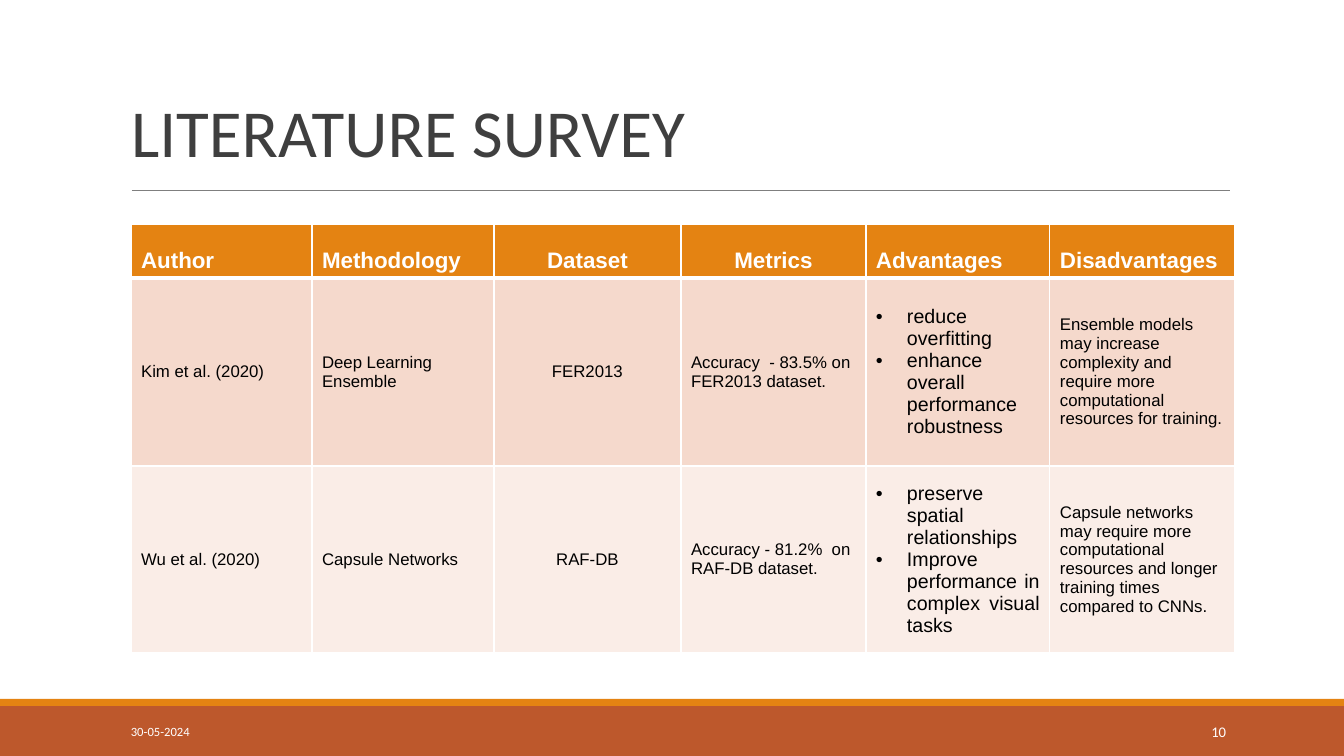
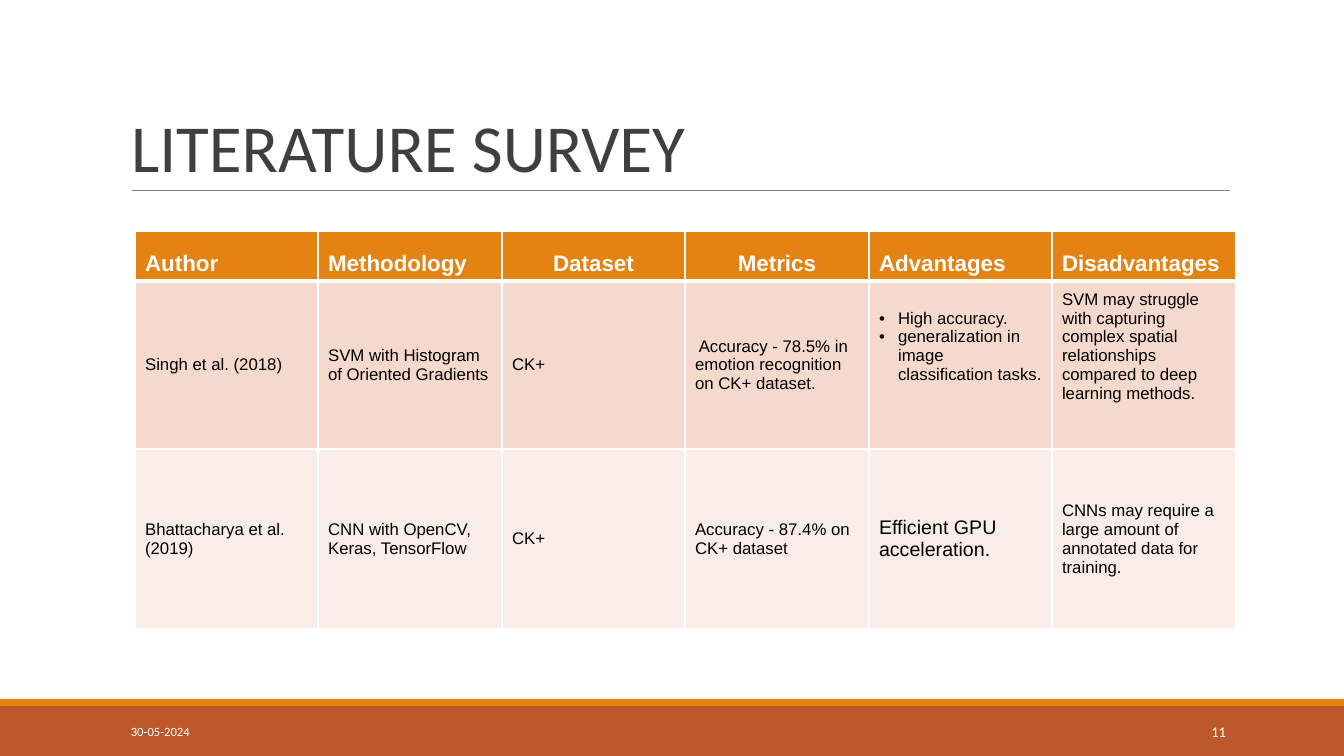
from dataclasses import dataclass
from typing import Any

from lxml.etree import SubElement
from pptx import Presentation
from pptx.dml.color import RGBColor
from pptx.enum.shapes import MSO_CONNECTOR as Connector, MSO_SHAPE as Preset
from pptx.enum.text import MSO_ANCHOR as Anchor, MSO_AUTO_SIZE as AutoSize, PP_ALIGN as Align
from pptx.oxml.ns import qn
from pptx.util import Emu, Pt

COLOURS = {
    "band": "BD582C",
    "accent": "E48312",
    "rule": "7F7F7F",
    "title": "3F3F3F",
    "white": "FFFFFF",
    "black": "000000",
    "odd_row": "F5D9CC",
    "even_row": "FAEDE7",
}
SLIDE_SIZE = (1344, 756)
TITLE = "LITERATURE SURVEY"
DATE = "30-05-2024"
TITLE_FORMAT = {"name": "Calibri", "size": Pt(48), "bold": False}
DATE_FORMAT = {"name": "Calibri", "size": Pt(9)}
NUMBER_FORMAT = {"name": "Calibri", "size": Pt(10.5)}
HEADER_FORMAT = {"name": "Arial", "size": Pt(16), "bold": True}
HEADINGS = ("Author", "Methodology", "Dataset", "Metrics", "Advantages", "Disadvantages")


@dataclass(frozen=True)
class Box:
    left: int
    top: int
    width: int
    height: int


@dataclass(frozen=True)
class Band:
    box: Box
    colour: str


@dataclass(frozen=True)
class Entry:
    """Content of a table cell; a positive indent makes its paragraphs bullets."""
    paragraphs: tuple[str, ...]
    size: int = 12
    align: Any = Align.LEFT
    indent: int = 0
    bottom_padding: int = 5


@dataclass(frozen=True)
class Survey:
    number: int
    title_top: int
    left: int
    top: int
    columns: tuple[int, ...]
    rows: tuple[int, ...]
    studies: tuple[tuple[Entry, ...], ...]


BANDS = (
    Band(Box(0, 706, 1344, 50), "band"),
    Band(Box(0, 699, 1344, 7), "accent"),
)

SURVEYS = (
    Survey(
        number=10, title_top=16, left=131, top=224,
        columns=(181, 182, 187, 185, 184, 185), rows=(54, 188, 187),
        studies=(
            (
                Entry(("Kim et al. (2020)",)),
                Entry(("Deep Learning Ensemble",)),
                Entry(("FER2013",), align=Align.CENTER),
                Entry(("Accuracy  - 83.5% on FER2013 dataset.",)),
                Entry(("reduce overfitting", "enhance overall performance robustness"),
                      size=14, indent=31),
                Entry(("Ensemble models may increase complexity and require more "
                       "computational resources for training.",)),
            ),
            (
                Entry(("Wu et al. (2020)",)),
                Entry(("Capsule Networks",)),
                Entry(("RAF-DB",), align=Align.CENTER),
                Entry(("Accuracy - 81.2%  on RAF-DB dataset.",)),
                Entry(("preserve spatial relationships",
                       "Improve performance in complex visual tasks"),
                      size=14, align=Align.JUSTIFY, indent=31),
                Entry(("Capsule networks may require more computational resources and "
                       "longer training times compared to CNNs.",)),
            ),
        ),
    ),
    Survey(
        number=11, title_top=31, left=135, top=231,
        columns=(183, 184) * 3, rows=(50, 167, 180),
        studies=(
            (
                Entry(("Singh et al. (2018)",)),
                Entry(("SVM with Histogram of Oriented Gradients",)),
                Entry(("CK+",)),
                Entry((" Accuracy - 78.5% in emotion recognition on CK+ dataset.",)),
                Entry(("High accuracy.", "generalization in image classification tasks."),
                      indent=19, bottom_padding=42),
                Entry(("SVM may struggle with capturing complex spatial relationships "
                       "compared to deep learning methods.",), bottom_padding=42),
            ),
            (
                Entry(("Bhattacharya et al. (2019)",)),
                Entry(("CNN with OpenCV, Keras, TensorFlow",)),
                Entry(("CK+",)),
                Entry(("Accuracy - 87.4% on CK+ dataset",)),
                Entry(("Efficient GPU acceleration.",), size=14),
                Entry(("CNNs may require a large amount of annotated data for training.",)),
            ),
        ),
    ),
)


def px(length: int) -> Emu:
    return Emu(round(length * 914400 / 100.8))


def place(box: Box) -> tuple[Emu, ...]:
    return px(box.left), px(box.top), px(box.width), px(box.height)


def rgb(name: str) -> RGBColor:
    return RGBColor.from_string(COLOURS[name])


def write(paragraph: Any, text: str, values: dict[str, Any], colour: str,
          align: Any = Align.LEFT) -> None:
    paragraph.alignment = align
    run = paragraph.add_run()
    run.text = text
    for name, value in values.items():
        setattr(run.font, name, value)
    run.font.color.rgb = rgb(colour)


def add_bullet(paragraph: Any, indent: int) -> None:
    properties = paragraph._p.get_or_add_pPr()
    properties.set("marL", str(px(indent)))
    properties.set("indent", str(-px(indent)))
    colour = SubElement(properties, qn("a:buClr"))
    SubElement(colour, qn("a:srgbClr"), val=COLOURS["black"])
    SubElement(properties, qn("a:buFont"), typeface="Arial")
    SubElement(properties, qn("a:buChar"), char="•")


def add_borders(cell: Any, bottom_width: int) -> None:
    properties = cell._tc.get_or_add_tcPr()
    for side, width in (("L", 1), ("R", 1), ("T", 1), ("B", bottom_width)):
        line = SubElement(properties, qn(f"a:ln{side}"), w=str(Pt(width)))
        fill = SubElement(line, qn("a:solidFill"))
        SubElement(fill, qn("a:srgbClr"), val=COLOURS["white"])


def style_cell(cell: Any, colour: str, anchor: Any, bottom_width: int = 1) -> None:
    add_borders(cell, bottom_width)
    cell.fill.solid()
    cell.fill.fore_color.rgb = rgb(colour)
    cell.vertical_anchor = anchor


def fill_cell(cell: Any, entry: Entry) -> None:
    cell.margin_bottom = px(entry.bottom_padding)
    values = {"name": "Arial", "size": Pt(entry.size), "bold": False}
    frame = cell.text_frame
    for index, text in enumerate(entry.paragraphs):
        paragraph = frame.add_paragraph() if index else frame.paragraphs[0]
        write(paragraph, text, values, "black", entry.align)
        if entry.indent:
            add_bullet(paragraph, entry.indent)


def add_footer(slide: Any, box: Box, text: str, values: dict[str, Any], align: Any) -> None:
    frame = slide.shapes.add_textbox(*place(box)).text_frame
    frame.word_wrap = True
    frame.vertical_anchor = Anchor.MIDDLE
    write(frame.paragraphs[0], text, values, "white", align)


def add_frame(slide: Any, number: int) -> None:
    """Draw the bands, title rule and footers that every slide shares."""
    for band in BANDS:
        shape = slide.shapes.add_shape(Preset.RECTANGLE, *place(band.box))
        shape.shadow.inherit = False
        shape.fill.solid()
        shape.fill.fore_color.rgb = rgb(band.colour)
        shape.line.fill.background()
    rule = slide.shapes.add_connector(Connector.STRAIGHT, px(132), px(191), px(1230), px(191))
    rule.line.color.rgb = rgb("rule")
    rule.line.width = Pt(0.75)
    SubElement(rule.element.spPr, qn("a:effectLst"))
    add_footer(slide, Box(121, 712, 272, 40), DATE, DATE_FORMAT, Align.LEFT)
    add_footer(slide, Box(1092, 712, 144, 40), str(number), NUMBER_FORMAT, Align.RIGHT)


def set_title(slide: Any, top: int) -> None:
    title = slide.shapes.title
    title.left, title.top, title.width, title.height = place(Box(121, top, 1109, 160))
    frame = title.text_frame
    frame.word_wrap = True
    frame.auto_size = AutoSize.NONE
    frame.vertical_anchor = Anchor.BOTTOM
    paragraph = frame.paragraphs[0]
    paragraph.line_spacing = 0.85
    write(paragraph, TITLE, TITLE_FORMAT, "title")


def add_survey_table(slide: Any, survey: Survey) -> None:
    box = Box(survey.left, survey.top, sum(survey.columns), sum(survey.rows))
    table = slide.shapes.add_table(len(survey.rows), len(HEADINGS), *place(box)).table
    table.horz_banding = False
    for column, width in zip(table.columns, survey.columns):
        column.width = px(width)
    for row, height in zip(table.rows, survey.rows):
        row.height = px(height)
    for index, heading in enumerate(HEADINGS):
        cell = table.cell(0, index)
        style_cell(cell, "accent", Anchor.BOTTOM, bottom_width=3)
        align = Align.CENTER if heading in ("Dataset", "Metrics") else Align.LEFT
        write(cell.text_frame.paragraphs[0], heading, HEADER_FORMAT, "white", align)
    for row_index, study in enumerate(survey.studies, start=1):
        for index, entry in enumerate(study):
            cell = table.cell(row_index, index)
            style_cell(cell, "odd_row" if row_index % 2 else "even_row", Anchor.MIDDLE)
            fill_cell(cell, entry)


def main() -> None:
    presentation = Presentation()
    presentation.slide_width, presentation.slide_height = map(px, SLIDE_SIZE)
    title_only = presentation.slide_layouts[5]
    for survey in SURVEYS:
        slide = presentation.slides.add_slide(title_only)
        add_frame(slide, survey.number)
        set_title(slide, survey.title_top)
        add_survey_table(slide, survey)
    presentation.save("out.pptx")


if __name__ == "__main__":
    main()
